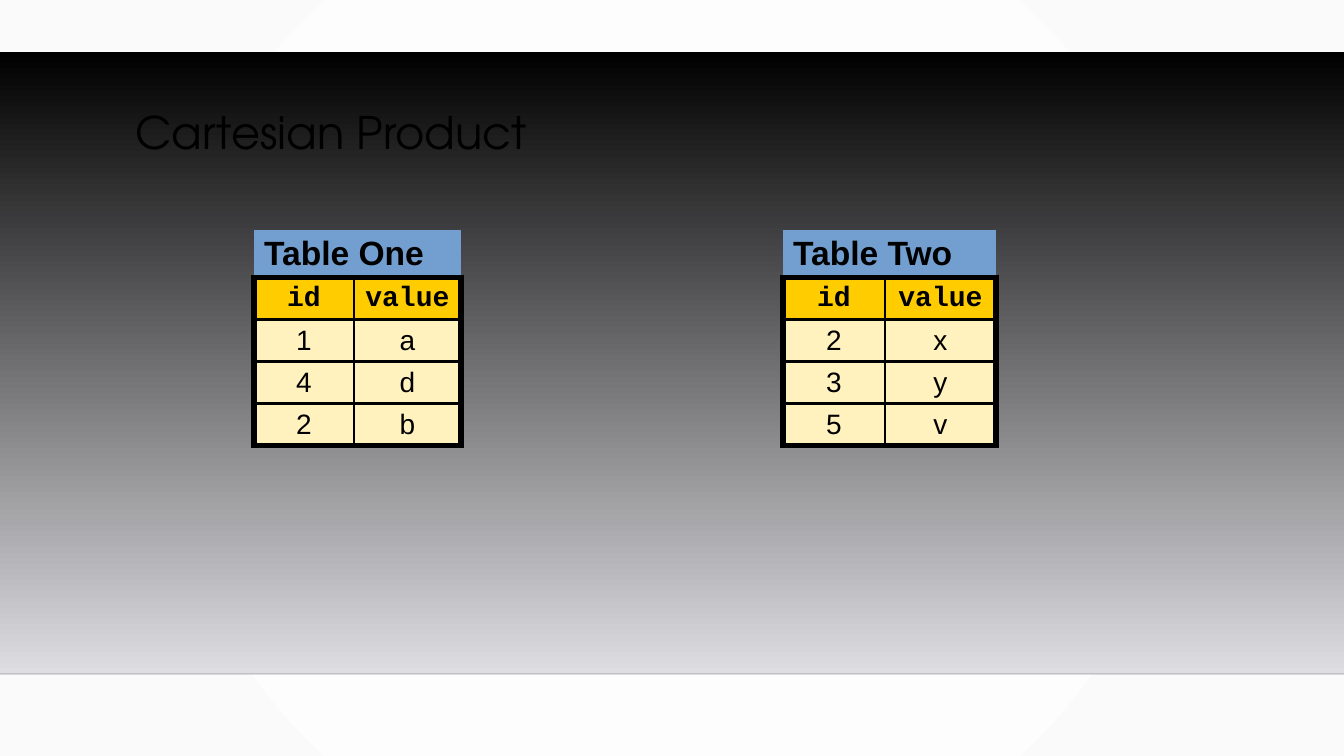
from dataclasses import dataclass

from lxml.etree import SubElement
from pptx import Presentation
from pptx.dml.color import RGBColor
from pptx.enum.shapes import MSO_CONNECTOR as Connector, MSO_SHAPE as Shape
from pptx.enum.text import MSO_ANCHOR as Anchor, MSO_AUTO_SIZE as AutoSize, PP_ALIGN as Align
from pptx.oxml.ns import qn
from pptx.slide import Slide
from pptx.util import Emu, Pt

COLORS = {
    "black": "000000", "band_end": "DEDEE2", "rule": "000001",
    "page_centre": "FFFFFF", "page_edge": "FAFAFA",
    "caption": "729FCF", "header": "FFCC00", "body": "FFF2BE",
}
THICK, THIN = 4.48, 1.98
CAPTION_H, ROW_H = 47, 42
WIDTH, HEIGHT = 1344, 756
BAND_TOP, BAND_BOTTOM = 52, 674


@dataclass(frozen=True)
class Relation:
    caption: str
    left: int
    top: int
    widths: tuple[int, int]
    rows: tuple[tuple[str, str], ...]


RELATIONS = (
    Relation("Table One", 254, 230, (100, 107), (("1", "a"), ("4", "d"), ("2", "b"))),
    Relation("Table Two", 783, 230, (102, 111), (("2", "x"), ("3", "y"), ("5", "v"))),
)


def px(n: int) -> Emu:
    return Emu(round(n * 914400 / 100.8))


def rgb(name: str) -> RGBColor:
    return RGBColor.from_string(COLORS[name])


def set_gradient(fill, start: str, end: str) -> None:
    """Two stops, running from top to bottom."""
    fill.gradient()
    fill.gradient_angle = 270
    for stop, name, position in zip(fill.gradient_stops, (start, end), (0, 1)):
        stop.color.rgb = rgb(name)
        stop.position = position


def draw_background(s: Slide) -> None:
    set_gradient(s.background.fill, "page_centre", "page_edge")
    lin = s.element.find(".//" + qn("a:lin"))
    grad = lin.getparent()
    grad.remove(lin)
    circle = SubElement(grad, qn("a:path"), {"path": "circle"})
    SubElement(circle, qn("a:fillToRect"), dict.fromkeys("ltrb", "50000"))


def draw_band(s: Slide) -> None:
    band = s.shapes.add_shape(Shape.RECTANGLE, 0, px(BAND_TOP), px(WIDTH),
                              px(BAND_BOTTOM - BAND_TOP))
    band.shadow.inherit = False
    band.line.fill.background()
    set_gradient(band.fill, "black", "band_end")

    rule = s.shapes.add_connector(Connector.STRAIGHT, 0, px(BAND_BOTTOM),
                                  px(WIDTH), px(BAND_BOTTOM))
    rule.line.width = Pt(1)
    rule.line.color.rgb = rgb("rule")
    color = rule.element.spPr.find(".//" + qn("a:srgbClr"))
    SubElement(color, qn("a:alpha"), {"val": "20000"})
    SubElement(rule.element.spPr, qn("a:effectLst"))


def style_run(r, size: int, font: str, bold: bool = False) -> None:
    r.font.size = Pt(size)
    r.font.name = font
    r.font.bold = bold
    r.font.color.rgb = rgb("black")


def draw_title(s: Slide, text: str) -> None:
    title = s.shapes.title
    title.element.getparent().append(title.element)  # in front of the band
    title.left, title.top, title.width, title.height = map(px, (125, 106, 1058, 117))
    tf = title.text_frame
    tf.text = text
    tf.auto_size = AutoSize.NONE
    tf.vertical_anchor = Anchor.TOP
    p = tf.paragraphs[0]
    p.alignment = Align.LEFT
    p.line_spacing = 0.9
    style_run(p.runs[0], 32, "TeX Gyre Adventor")


def set_borders(cell, left: float, right: float, top: float, bottom: float) -> None:
    """Border widths in points; 0 means no line."""
    tc_pr = cell._tc.get_or_add_tcPr()
    for side, width in zip("LRTB", (left, right, top, bottom)):
        ln = SubElement(tc_pr, qn(f"a:ln{side}"), {"w": str(Pt(width))})
        if width:
            solid = SubElement(ln, qn("a:solidFill"))
            SubElement(solid, qn("a:srgbClr"), {"val": COLORS["black"]})
        else:
            SubElement(ln, qn("a:noFill"))


def fill_cell(cell, text: str, color: str, size: int, font: str, bold: bool,
              align: Align, space_before: int) -> None:
    cell.fill.solid()
    cell.fill.fore_color.rgb = rgb(color)
    cell.vertical_anchor = Anchor.MIDDLE
    p = cell.text_frame.paragraphs[0]
    p.text = text
    p.alignment = align
    p.space_before = Pt(space_before)
    style_run(p.runs[0], size, font, bold)


def draw_relation(s: Slide, rel: Relation) -> None:
    grid = (("id", "value"), *rel.rows)
    table = s.shapes.add_table(len(grid) + 1, 2, px(rel.left), px(rel.top),
                               px(sum(rel.widths)),
                               px(CAPTION_H + ROW_H * len(grid))).table
    for column, width in zip(table.columns, rel.widths):
        column.width = px(width)
    for i, row in enumerate(table.rows):
        row.height = px(ROW_H if i else CAPTION_H)

    caption = table.cell(0, 0)
    caption.merge(table.cell(0, 1))
    for j in range(2):
        set_borders(table.cell(0, j), 0, 0, 0, THICK)
    fill_cell(caption, rel.caption, "caption", 24, "Arial", True, Align.LEFT, 6)

    for i, values in enumerate(grid, 1):
        is_header = i == 1
        for j, value in enumerate(values):
            cell = table.cell(i, j)
            set_borders(cell,
                        left=THIN if j else THICK,
                        right=THICK if j else THIN,
                        top=THICK if is_header else THIN,
                        bottom=THICK if i == len(grid) else THIN)
            fill_cell(cell, value, "header" if is_header else "body", 20,
                      "Courier New" if is_header else "Arial", is_header,
                      Align.CENTER, 5)


def main() -> None:
    prs = Presentation()
    prs.slide_width, prs.slide_height = px(WIDTH), px(HEIGHT)
    s = prs.slides.add_slide(prs.slide_layouts[5])
    draw_background(s)
    draw_band(s)
    draw_title(s, "Cartesian Product")
    for rel in RELATIONS:
        draw_relation(s, rel)
    prs.save("out.pptx")


if __name__ == "__main__":
    main()
